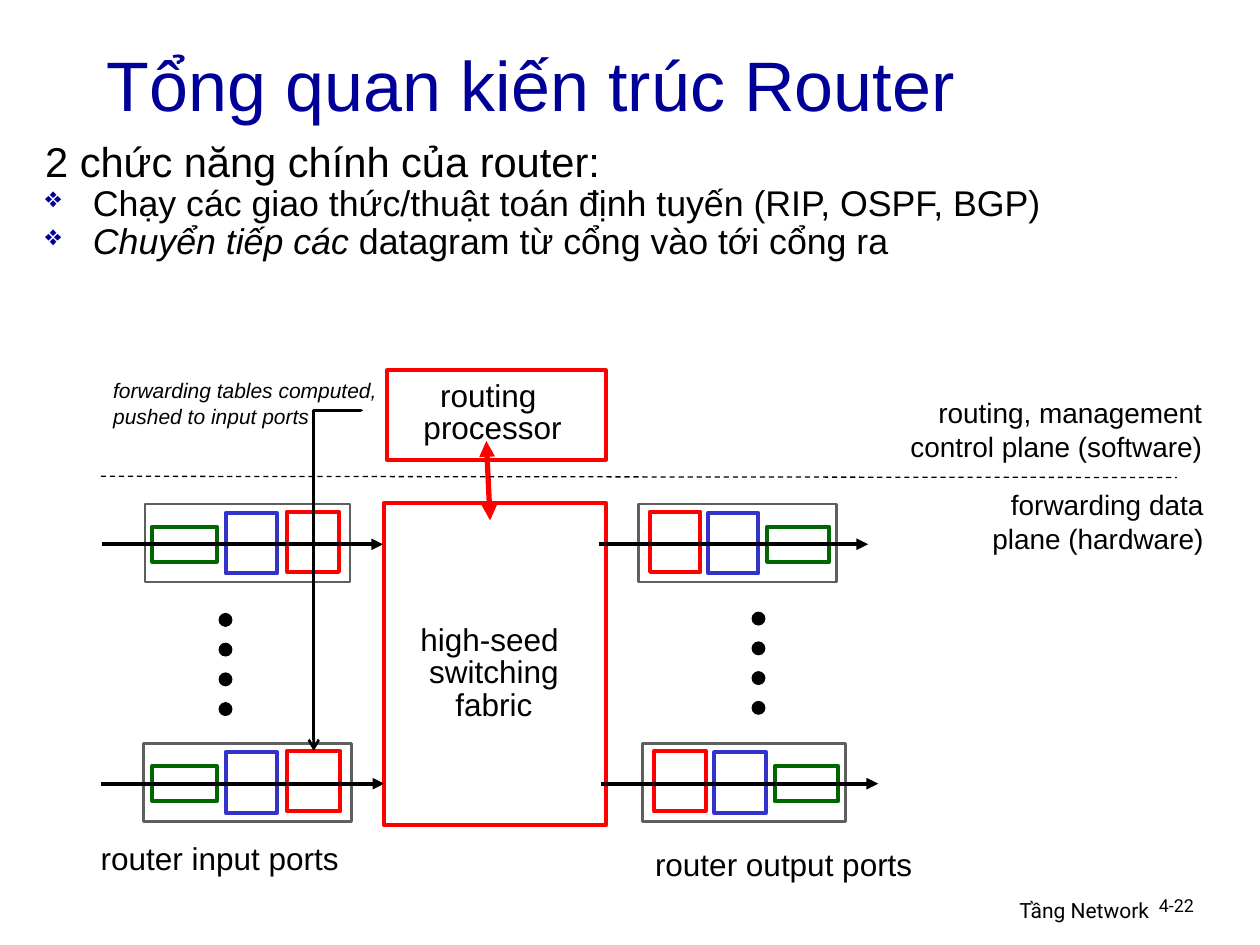
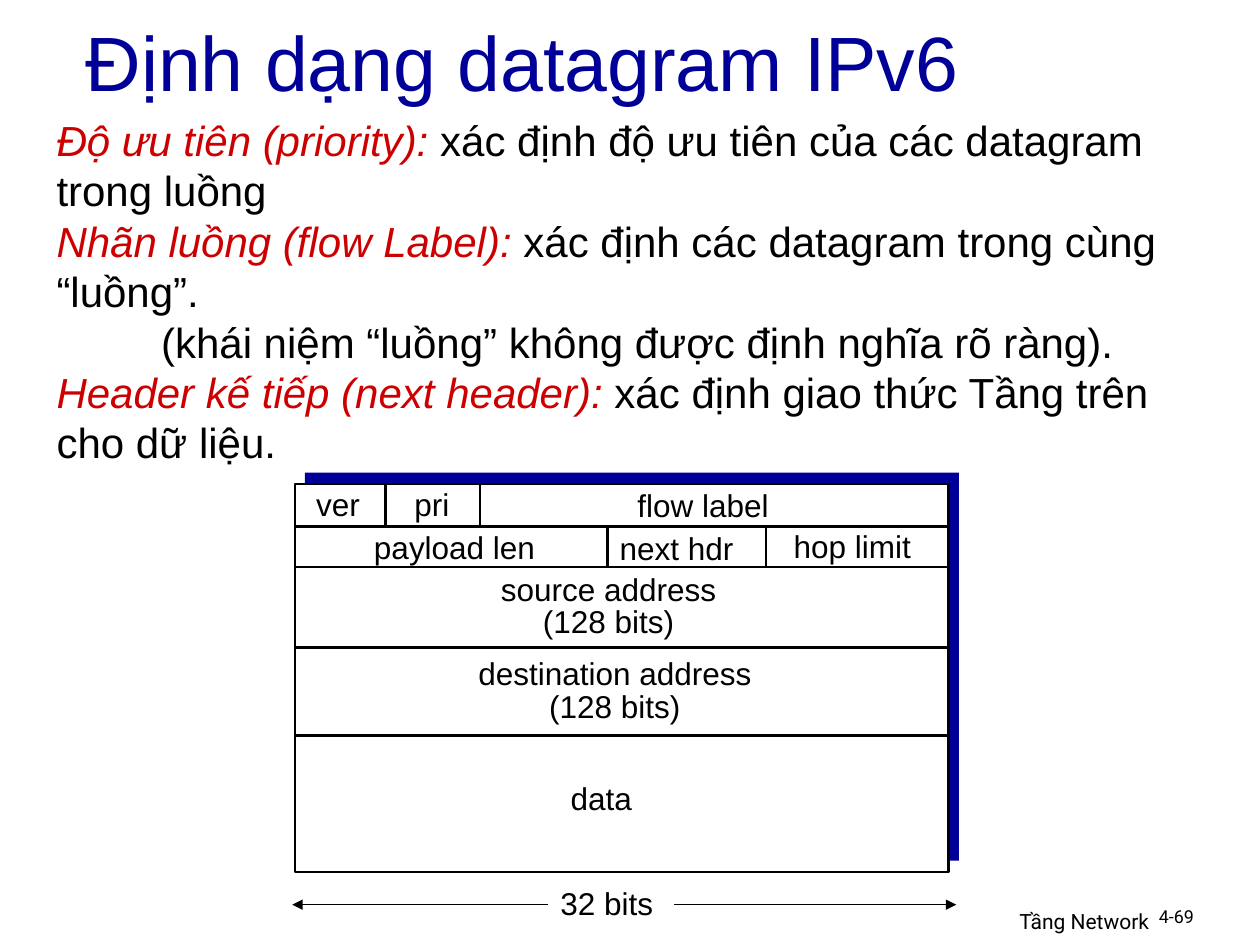
import pptx
import pptx.dml.color
import pptx.enum.dml
import pptx.enum.shapes
import pptx.enum.text
import pptx.oxml.ns
import pptx.util
from lxml import etree
from pptx.util import Inches

NAVY = pptx.dml.color.RGBColor(0x00, 0x00, 0x99)
BLACK = pptx.dml.color.RGBColor(0x00, 0x00, 0x00)
WHITE = pptx.dml.color.RGBColor(0xFF, 0xFF, 0xFF)
RED = pptx.dml.color.RGBColor(0xFF, 0x00, 0x00)
DARK_RED = pptx.dml.color.RGBColor(0xCC, 0x00, 0x00)
GREEN = pptx.dml.color.RGBColor(0x00, 0x66, 0x00)
BLUE = pptx.dml.color.RGBColor(0x33, 0x33, 0xCC)
GRAY = pptx.dml.color.RGBColor(0x5F, 0x5F, 0x5F)

ALIGN = pptx.enum.text.PP_ALIGN
ANCHOR = pptx.enum.text.MSO_ANCHOR
AUTO_SIZE = pptx.enum.text.MSO_AUTO_SIZE
SHAPE = pptx.enum.shapes.MSO_SHAPE
CONNECTOR = pptx.enum.shapes.MSO_CONNECTOR
DASH = pptx.enum.dml.MSO_LINE.DASH

ITALIC = {"italic": True}
TERM = {"italic": True, "color": DARK_RED}
CENTERED = {"alignment": ALIGN.CENTER, "line_spacing": 0.85}
RIGHT = {"alignment": ALIGN.RIGHT}


def add_child(parent, tag, **attributes):
    return etree.SubElement(parent, pptx.oxml.ns.qn(tag), attributes)


class Deck:
    """Holds the style and the current slide."""

    def __init__(self):
        self.presentation = pptx.Presentation()
        self.presentation.slide_width = Inches(10)
        self.presentation.slide_height = Inches(7.5)
        self.slide = None

    def new_slide(self, title, title_box, title_size, number, footer_top):
        layout = self.presentation.slide_layouts[6]
        self.slide = self.presentation.slides.add_slide(layout)
        self.text(6.05, footer_top, 3.17, 0.31, ["Tầng Network"],
                  size=12, font="Roboto", wrap=True, layout=RIGHT)
        self.text(9.1, footer_top, 0.74, 0.3, [number], size=10.2,
                  font="Roboto", wrap=True, layout={"line_spacing": 0.9})
        self.text(*title_box, [title], size=title_size, color=NAVY,
                  wrap=True, anchor=ANCHOR.MIDDLE)

    def text(self, left, top, width, height, paragraphs, size=18,
             font="Arial", color=BLACK, wrap=False, anchor=ANCHOR.TOP,
             layout=None, fill=None):
        """Each paragraph is a string or a list of (text, format) runs."""
        box = self.slide.shapes.add_textbox(
            Inches(left), Inches(top), Inches(width), Inches(height))
        if fill is not None:
            box.fill.solid()
            box.fill.fore_color.rgb = fill
        frame = box.text_frame
        frame.word_wrap = wrap
        frame.vertical_anchor = anchor
        frame.auto_size = AUTO_SIZE.NONE if wrap else AUTO_SIZE.SHAPE_TO_FIT_TEXT
        for index, runs in enumerate(paragraphs):
            paragraph = frame.paragraphs[0] if index == 0 else frame.add_paragraph()
            for name, value in (layout or {}).items():
                setattr(paragraph, name, value)
            if isinstance(runs, str):
                runs = [(runs, {})]
            for words, run_format in runs:
                run = paragraph.add_run()
                run.text = words
                values = {"name": font, "size": pptx.util.Pt(size), **run_format}
                run.font.color.rgb = values.pop("color", color)
                for name, value in values.items():
                    setattr(run.font, name, value)
        return frame

    def indent(self, paragraph, margin, first_line, bullet=None):
        properties = paragraph._p.get_or_add_pPr()
        properties.set("marL", str(Inches(margin)))
        properties.set("indent", str(Inches(first_line)))
        if bullet:
            bullet_color = add_child(properties, "a:buClr")
            add_child(bullet_color, "a:srgbClr", val=str(NAVY))
            add_child(properties, "a:buSzPct", val="80000")
            add_child(properties, "a:buChar", char=bullet)

    def box(self, left, top, width, height, line=None, weight=2.25,
            fill=WHITE, kind=SHAPE.RECTANGLE):
        shape = self.slide.shapes.add_shape(
            kind, Inches(left), Inches(top), Inches(width), Inches(height))
        shape.shadow.inherit = False
        shape.fill.solid()
        shape.fill.fore_color.rgb = fill
        if line is None:
            shape.line.fill.background()
        else:
            shape.line.color.rgb = line
            shape.line.width = pptx.util.Pt(weight)

    def line(self, start, end, weight=1.5, color=BLACK, dash=None,
             head=None, tail=None, kind=CONNECTOR.STRAIGHT):
        connector = self.slide.shapes.add_connector(
            kind, *(Inches(value) for value in (*start, *end)))
        connector.line.color.rgb = color
        connector.line.width = pptx.util.Pt(weight)
        if dash is not None:
            connector.line.dash_style = dash
        outline = connector.line._get_or_add_ln()
        for tag, arrow in (("a:headEnd", head), ("a:tailEnd", tail)):
            if arrow:
                add_child(outline, tag, type=arrow)
        add_child(connector._element.spPr, "a:effectLst")
        return connector

    def corner_arrow(self, start, end):
        """Runs sideways from start, then down to end."""
        middle_x, middle_y = ((a + b) / 2 for a, b in zip(start, end))
        half_length = (end[1] - start[1]) / 2
        half_height = (start[0] - end[0]) / 2
        connector = self.line(
            (middle_x - half_length, middle_y - half_height),
            (middle_x + half_length, middle_y + half_height),
            tail="arrow", kind=CONNECTOR.ELBOW)
        properties = connector._element.spPr
        properties.xfrm.set("rot", "5400000")
        guides = properties.prstGeom.get_or_add_avLst()
        add_child(guides, "a:gd", name="adj1", fmla="val -100")

    def port(self, top, frame, green, blue, red, arrow):
        """Frame and stages are (left, width); arrow is (from x, to x)."""
        stages = ((frame, 0, 0.62, GRAY, 1.5), (green, 0.18, 0.28, GREEN, 2.25),
                  (blue, 0.07, 0.48, BLUE, 2.25), (red, 0.06, 0.48, RED, 2.25))
        for (left, width), offset, height, color, weight in stages:
            self.box(left, top + offset, width, height, color, weight)
        middle = top + 0.32
        self.line((arrow[0], middle), (arrow[1], middle), 2.25, tail="triangle")

    def dots(self, left, top):
        for index in range(4):
            self.box(left, top + index * 0.236, 0.1, 0.1, BLACK, 0.75,
                     BLACK, SHAPE.OVAL)


def router_slide(deck):
    deck.new_slide("Tổng quan kiến trúc Router", (0.75, 0.33, 8.5, 0.67), 40,
                   "4-22", 7.07)

    # Main functions
    large, medium = ({"size": pptx.util.Pt(size)} for size in (23.8, 20.4))
    frame = deck.text(0.26, 1.15, 9.66, 1, [
        [("2 chức năng chính của router:", large)],
        [("Chạy các giao thức/thuật toán định tuyến (RIP, OSPF, BGP)", medium)],
        [("Chuyển tiếp các ", {**medium, **ITALIC}),
         ("datagram từ cổng vào tới cổng ra", medium)],
    ], wrap=True, layout={"line_spacing": 0.65})
    for index, paragraph in enumerate(frame.paragraphs):
        if index:
            paragraph.space_before = pptx.util.Pt(6)
        deck.indent(paragraph, 0.38, -0.38, "❖" if index else None)

    # Switching fabric and routing processor
    deck.box(3.05, 3.99, 1.76, 2.56, RED)
    deck.text(3.2, 4.92, 1.44, 0.87, ["high-seed ", "switching", "fabric"],
              layout=CENTERED)
    deck.box(3.07, 2.94, 1.74, 0.71, RED)
    deck.text(3.24, 2.98, 1.34, 0.61, ["routing ", "processor"], layout=CENTERED)
    deck.line((3.86, 3.5), (3.89, 4.13), 3, RED, head="triangle", tail="triangle")

    # Input ports
    deck.port(4, (1.15, 1.63), (1.21, 0.51), (1.79, 0.41), (2.28, 0.41), (0.81, 3.04))
    deck.port(5.9, (1.14, 1.65), (1.21, 0.51), (1.79, 0.41), (2.28, 0.42), (0.8, 3.05))
    deck.dots(1.74, 4.87)
    deck.text(0.7, 6.61, 2.2, 0.4, ["router input ports"])

    # Output ports
    deck.port(4, (5.07, 1.57), (6.09, 0.49), (5.62, 0.4), (5.16, 0.4), (4.75, 6.89))
    deck.port(5.9, (5.1, 1.61), (6.15, 0.5), (5.67, 0.41), (5.19, 0.41), (4.77, 6.97))
    deck.dots(5.97, 4.86)
    deck.text(5.1, 6.66, 2.35, 0.4, ["router output ports"])

    # Control and data planes
    deck.line((0.8, 3.78), (9.34, 3.79), 0.75, dash=DASH)
    deck.text(7.53, 3.82, 2.12, 0.64, ["forwarding data plane (hardware)"],
              size=16, wrap=True, layout=RIGHT)
    deck.text(6.96, 3.09, 2.68, 0.64,
              ["routing, management", "control plane (software)"],
              size=16, wrap=True, layout=RIGHT)

    # Forwarding tables
    deck.corner_arrow((2.87, 3.26), (2.49, 5.96))
    deck.text(0.8, 2.95, 2.4, 0.5, [
        [("forwarding tables computed,", ITALIC)],
        [("pushed to input ports", ITALIC)],
    ], size=12)


def datagram_slide(deck):
    deck.new_slide("Định dạng datagram IPv6", (0.58, -0.01, 8.5, 0.99), 44,
                   "4-69", 7.16)

    # Field descriptions
    frame = deck.text(0.35, 0.86, 9.41, 2.9, [
        [("Độ ưu tiên (priority):", TERM),
         (" xác định độ ưu tiên của các datagram trong luồng", {})],
        [("Nhãn luồng (flow Label):", TERM),
         (" xác định các datagram trong cùng “luồng”.", {})],
        "(khái niệm “luồng” không được định nghĩa rõ ràng).",
        [("Header kế tiếp (next header):", TERM),
         (" xác định giao thức Tầng trên cho dữ liệu.", {})],
    ], size=24, wrap=True)
    deck.indent(frame.paragraphs[2], 0, 0.83)

    # Datagram with its backing block
    deck.box(2.42, 3.75, 5.19, 3.08, fill=NAVY)
    deck.box(2.34, 3.84, 5.19, 3.08, BLACK, 1.5)
    for row_top in (4.18, 4.5, 5.14, 5.84):
        deck.line((2.34, row_top), (7.53, row_top))
    for divider, top in ((3.06, 3.85), (3.81, 3.85), (4.82, 4.17), (6.08, 4.17)):
        deck.line((divider, top), (divider, top + 0.32))

    # Field names
    for left, top, width, name in (
            (2.41, 3.8, 0.65, "ver"), (3.19, 3.8, 0.6, "pri"),
            (4.96, 3.81, 1.35, "flow label"), (2.87, 4.14, 1.6, "payload len"),
            (4.82, 4.15, 1.2, "next hdr"), (6.2, 4.13, 1.25, "hop limit"),
            (4.43, 6.13, 0.8, "data")):
        deck.text(left, top, width, 0.4, [name])
    for left, top, width, name in ((3.83, 4.52, 2, "source address"),
                                   (3.63, 5.19, 2.5, "destination address")):
        deck.text(left, top, width, 0.61, [name, "(128 bits)"], layout=CENTERED)

    # Width marker
    deck.line((2.32, 7.18), (7.59, 7.18), 0.75, head="triangle", tail="triangle")
    deck.text(4.35, 6.97, 1, 0.4, ["32 bits"], fill=WHITE)


def main():
    deck = Deck()
    router_slide(deck)
    datagram_slide(deck)
    deck.presentation.save("out.pptx")


if __name__ == "__main__":
    main()
